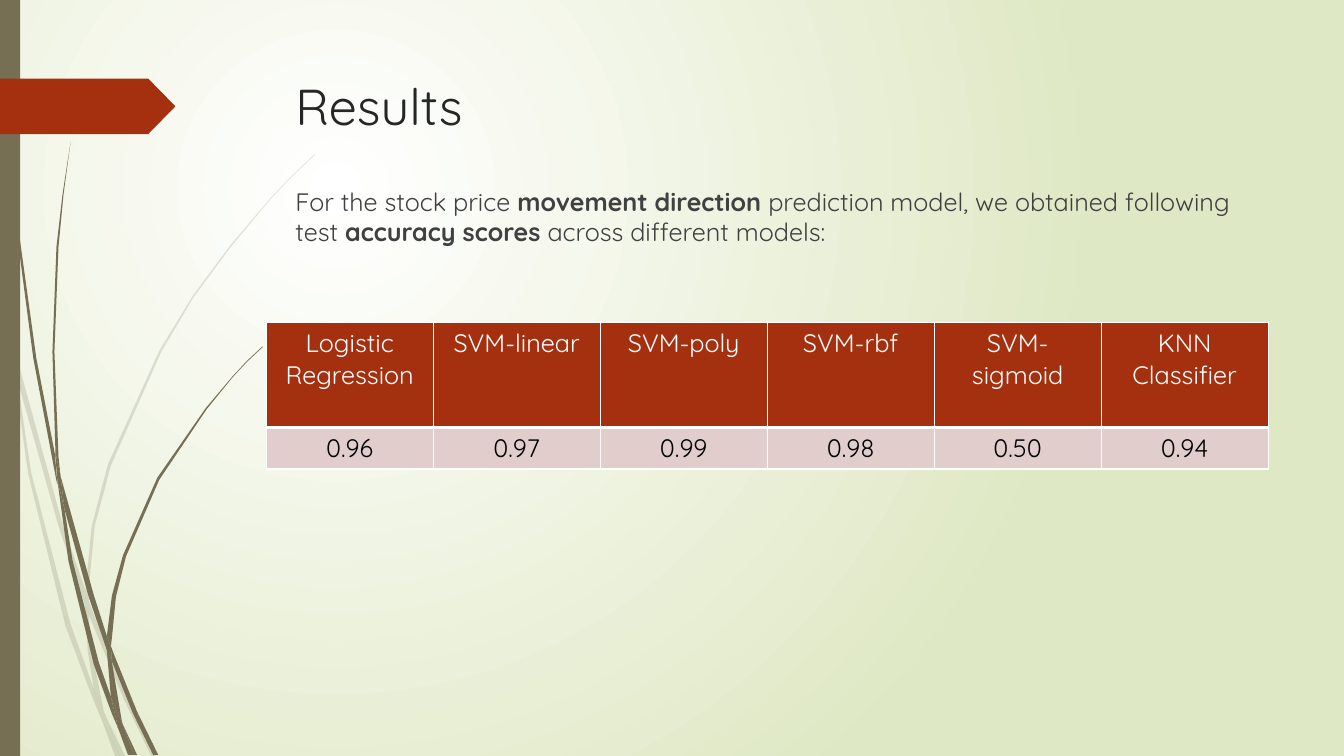
from lxml import etree
from pptx import Presentation
from pptx.dml.color import RGBColor
from pptx.enum.shapes import MSO_SHAPE
from pptx.enum.text import MSO_ANCHOR, MSO_AUTO_SIZE, PP_ALIGN
from pptx.oxml.ns import qn
from pptx.util import Inches, Pt

FONT = "Quicksand"
COLORS = {
    "white": "FFFFFF", "sage": "DFE8C4", "olive": "766F54", "rust": "A53010",
    "pink": "E1CDCC", "title": "262626", "body": "404040", "black": "000000",
}

# Outlines of the grass blade pieces, in inches on the slide
FAINT_BLADES = [
    [(0.11, 3.5), (0.09, 3.22), (0, 2.82), (0, 2.99), (0.1, 3.44)],
    [(0.58, 5.22), (0.84, 5.99), (0.85, 5.86), (0.62, 5.2), (0.14, 3.45),
     (0.17, 3.76)],
    [(0.92, 6.07), (0.88, 5.96), (0.88, 6.1), (1.23, 6.94), (1.5, 7.5),
     (1.55, 7.5), (1.27, 6.92)],
    [(1.19, 7.5), (1.24, 7.5), (1.05, 7.11)],
    [(0.93, 6.83), (0.7, 6.19), (0.31, 4.69), (0.17, 3.76), (0.11, 3.5),
     (0.28, 4.7), (0.65, 6.21), (0.92, 6.93), (1.01, 7.14), (0.99, 7.07)],
    [(0.84, 5.99), (0.87, 6.46), (0.93, 6.83), (0.96, 6.92), (1.05, 7.11),
     (1.03, 7.06), (0.91, 6.46), (0.88, 6.1), (0.88, 6.08)],
    [(0.88, 5.84), (0.94, 5.22), (1.1, 4.62), (1.6, 3.49), (1.92, 2.95),
     (2.29, 2.45), (2.68, 1.98), (2.9, 1.75), (3.12, 1.54), (3.12, 1.53),
     (2.89, 1.75), (2.68, 1.97), (2.28, 2.44), (1.91, 2.94), (1.58, 3.48),
     (1.07, 4.61), (0.91, 5.22), (0.85, 5.84), (0.85, 5.86), (0.88, 5.96)],
    [(1.01, 7.14), (1.14, 7.5), (1.19, 7.5)],
    [(0.88, 6.08), (0.88, 6.1), (0.88, 5.96), (0.85, 5.86), (0.84, 5.99)],
    [(0.96, 6.92), (0.93, 6.83), (0.99, 7.07), (1.01, 7.14), (1.19, 7.5),
     (1.05, 7.11)],
]
DARK_BLADES = [
    [(0.07, 1.1), (0.17, 2.33), (0.33, 3.55), (0.56, 4.77), (0.57, 4.81),
     (0.55, 4.57), (0.55, 4.53), (0.36, 3.55), (0.19, 2.32), (0.08, 1.09),
     (0.05, 0.48), (0.04, 0), (0.03, 0), (0.04, 0.48)],
    [(0.88, 5.92), (1.06, 6.45), (1.06, 6.33), (1.06, 6.31), (0.93, 5.9),
     (0.6, 4.72), (0.64, 5.05)],
    [(1.13, 6.49), (1.1, 6.41), (1.11, 6.56), (1.32, 7.08), (1.52, 7.49),
     (1.57, 7.49), (1.36, 7.06)],
    [(1.1, 6.91), (0.98, 6.57), (0.72, 5.56), (0.64, 5.05), (0.57, 4.77),
     (0.68, 5.57), (0.93, 6.59), (1.11, 7.08), (1.17, 7.22), (1.16, 7.17)],
    [(0.6, 4.72), (0.58, 4.53), (0.54, 3.49), (0.58, 2.45), (0.63, 1.93),
     (0.7, 1.41), (0.62, 1.93), (0.56, 2.45), (0.52, 3.49), (0.55, 4.49)],
    [(1.33, 7.49), (1.36, 7.49), (1.22, 7.19)],
    [(0.57, 4.77), (0.64, 5.05), (0.6, 4.72), (0.55, 4.49), (0.55, 4.53)],
    [(1.11, 6.33), (1.15, 5.92), (1.25, 5.52), (1.58, 4.76), (2.05, 4.06),
     (2.31, 3.74), (2.45, 3.59), (2.61, 3.44), (2.6, 3.44), (2.45, 3.58),
     (2.31, 3.73), (2.04, 4.05), (1.56, 4.74), (1.22, 5.51), (1.11, 5.91),
     (1.06, 6.31), (1.1, 6.41)],
    [(1.17, 7.22), (1.27, 7.49), (1.31, 7.49)],
    [(1.06, 6.45), (1.1, 6.91), (1.16, 7.06), (1.22, 7.19), (1.21, 7.16),
     (1.11, 6.56), (1.09, 6.51)],
    [(1.06, 6.45), (1.09, 6.51), (1.11, 6.56), (1.1, 6.41), (1.06, 6.31)],
    [(1.16, 7.06), (1.1, 6.91), (1.16, 7.17), (1.17, 7.22), (1.3, 7.49),
     (1.33, 7.49), (1.22, 7.19)],
]
SCORES = [
    (["Logistic", "Regression"], "0.96"), (["SVM-linear"], "0.97"),
    (["SVM-poly"], "0.99"), (["SVM-rbf"], "0.98"),
    (["SVM-sigmoid"], "0.50"), (["KNN", "Classifier"], "0.94"),
]


def rgb(name):
    return RGBColor.from_string(COLORS[name])


def paint(sp, color):
    sp.shadow.inherit = False
    sp.fill.solid()
    sp.fill.fore_color.rgb = rgb(color)
    sp.line.fill.background()


def add_run(p, text, size, color, bold=False):
    r = p.add_run()
    r.text = text
    r.font.name, r.font.size, r.font.bold = FONT, Pt(size), bold
    r.font.color.rgb = rgb(color)


def add_background(s):
    fill = s.background.fill
    fill.gradient()
    for stop, color in zip(fill.gradient_stops, ("white", "sage")):
        stop.color.rgb = rgb(color)
    grad = next(s._element.iter(qn("a:gradFill")))
    grad.remove(grad.find(qn("a:lin")))
    circle = etree.SubElement(grad, qn("a:path"), {"path": "circle"})
    etree.SubElement(circle, qn("a:fillToRect"),
                     {"l": "50000", "t": "50000", "r": "100000", "b": "100000"})


def add_blade(s, outline, alpha=None):
    start, *rest = [(Inches(x), Inches(y)) for x, y in outline]
    builder = s.shapes.build_freeform(*start)
    builder.add_line_segments(rest, close=True)
    sp = builder.convert_to_shape()
    paint(sp, "olive")
    if alpha:
        color = next(sp._element.spPr.iter(qn("a:srgbClr")))
        etree.SubElement(color, qn("a:alpha"), {"val": str(alpha * 1000)})


def add_decoration(s, height):
    for outline in FAINT_BLADES:
        add_blade(s, outline, alpha=20)
    for outline in DARK_BLADES:
        add_blade(s, outline)
    # Side bar and arrow tab
    bar = s.shapes.add_shape(MSO_SHAPE.RECTANGLE, 0, 0, Inches(0.2), height)
    paint(bar, "olive")
    tab = s.shapes.add_shape(MSO_SHAPE.PENTAGON, 0, Inches(0.78),
                             Inches(1.74), Inches(0.55))
    tab.adjustments[0] = 0.49
    paint(tab, "rust")


def fill_placeholder(sp, box, runs, size, color):
    sp.left, sp.top, sp.width, sp.height = (Inches(v) for v in box)
    tf = sp.text_frame
    tf.word_wrap = True
    tf.auto_size = MSO_AUTO_SIZE.NONE
    tf.vertical_anchor = MSO_ANCHOR.TOP
    p = tf.paragraphs[0]
    p.alignment = PP_ALIGN.LEFT
    p.space_before = Pt(0)
    pPr = p._p.get_or_add_pPr()
    pPr.set("marL", "0")
    pPr.set("indent", "0")
    etree.SubElement(pPr, qn("a:buNone"))
    for text, bold in runs:
        add_run(p, text, size, color, bold)


def format_cell(cell, lines, fill, color, bottom):
    tf = cell.text_frame
    for i, line in enumerate(lines):
        p = tf.add_paragraph() if i else tf.paragraphs[0]
        p.alignment = PP_ALIGN.CENTER
        add_run(p, line, 18, color)
    # Borders come before the fill in the cell properties
    tcPr = cell._tc.get_or_add_tcPr()
    for side, width in (("L", 1), ("R", 1), ("T", 1), ("B", bottom)):
        ln = etree.SubElement(tcPr, qn(f"a:ln{side}"), {"w": str(Pt(width))})
        solid = etree.SubElement(ln, qn("a:solidFill"))
        etree.SubElement(solid, qn("a:srgbClr"), {"val": COLORS["white"]})
    cell.fill.solid()
    cell.fill.fore_color.rgb = rgb(fill)


def add_scores(s, left, top, width, row_heights):
    table = s.shapes.add_table(2, len(SCORES), Inches(left), Inches(top),
                               Inches(width), Inches(sum(row_heights))).table
    for row, height in zip(table.rows, row_heights):
        row.height = Inches(height)
    for i, (model, score) in enumerate(SCORES):
        table.columns[i].width = Inches(width / len(SCORES))
        format_cell(table.cell(0, i), model, "rust", "white", 3)
        format_cell(table.cell(1, i), [score], "pink", "black", 1)


def add_results_slide(prs):
    s = prs.slides.add_slide(prs.slide_layouts[1])
    add_background(s)
    add_decoration(s, prs.slide_height)
    # Title and introduction
    fill_placeholder(s.shapes.title, (2.83, 0.69, 9.75, 1.4),
                     [("Results", False)], 36, "title")
    fill_placeholder(s.placeholders[1], (2.83, 1.8, 9.94, 0.87), [
        ("For the stock price ", False), ("movement direction ", True),
        ("prediction model, we obtained following test ", False),
        ("accuracy scores ", True), ("across different models:", False),
    ], 18, "body")
    # Accuracy table
    add_scores(s, 2.64, 3.2, 9.94, (1.04, 0.41))


def main():
    prs = Presentation()
    prs.slide_width, prs.slide_height = Inches(13.33), Inches(7.5)
    add_results_slide(prs)
    prs.save("out.pptx")


if __name__ == "__main__":
    main()
